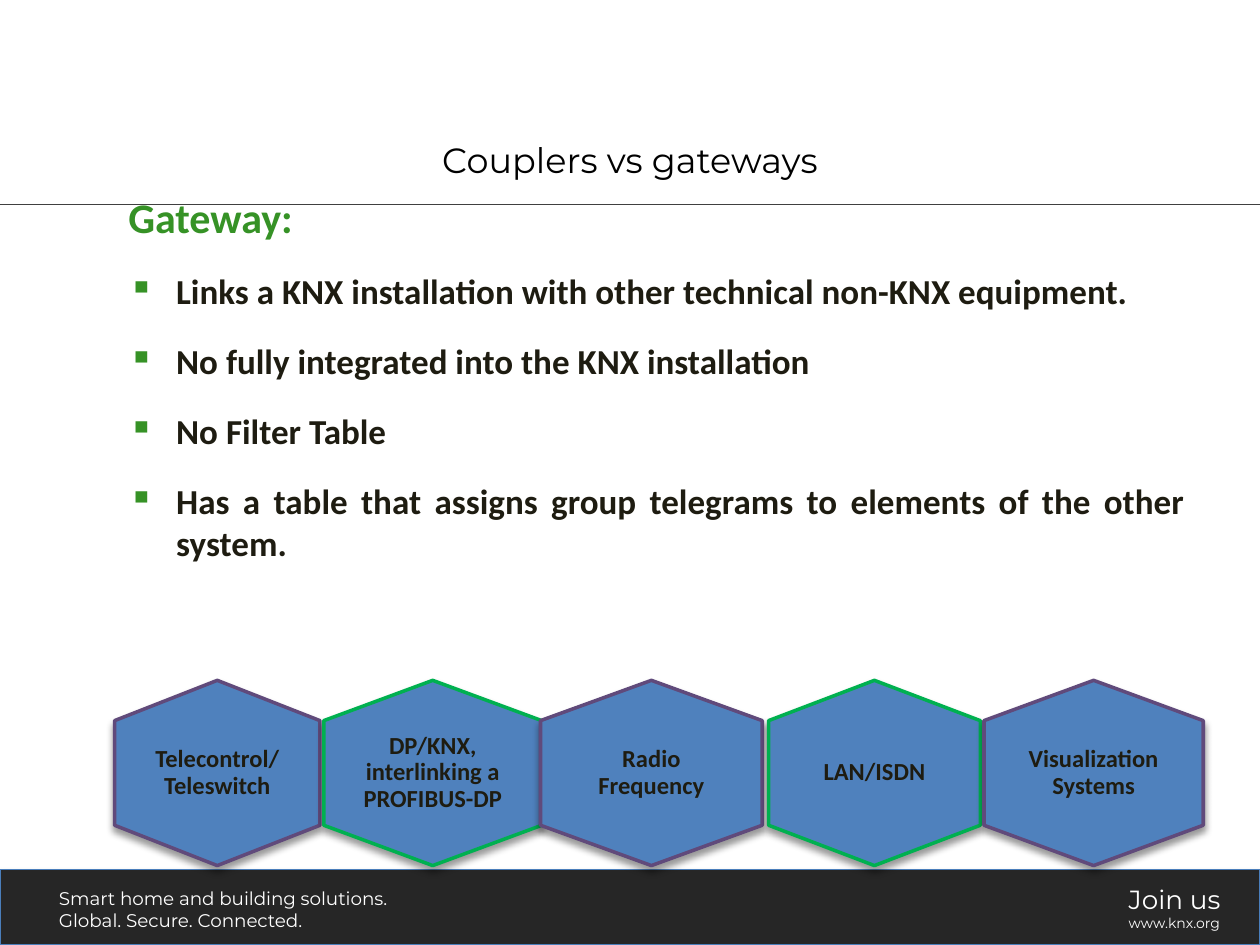
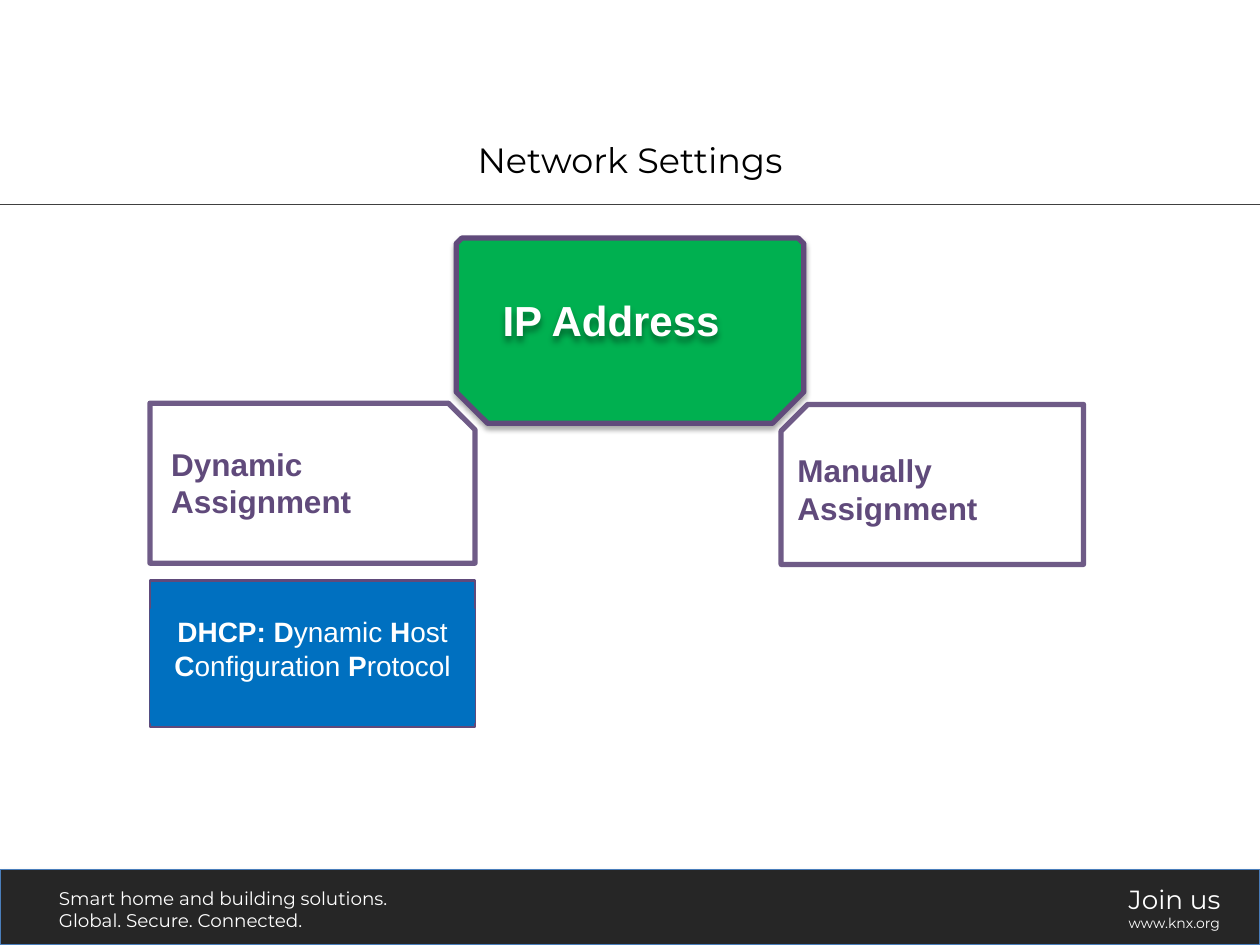
from lxml.etree import SubElement
from pptx import Presentation
from pptx.dml.color import RGBColor
from pptx.enum.shapes import MSO_CONNECTOR, MSO_SHAPE
from pptx.enum.text import MSO_ANCHOR, PP_ALIGN
from pptx.oxml.ns import qn
from pptx.util import Emu, Inches, Pt

WHITE, BLACK, INK = "FFFFFF", "000000", "1E1C11"
PURPLE, GREEN, LEAF = "604A7B", "00B050", "369226"
BAND, BAND_EDGE, RULE = "262626", "4A7EBB", "404040"
STEEL, BLUE = "4F81BD", "0070C0"

# Shadows: colour, opacity in %, blur and distance in points
SOFT_GREY = ("808080", 35, 3.1, 1.8)
SOFT_BLACK = (BLACK, 35, 3.1, 1.8)
DEEP_BLACK = (BLACK, 40, 4, 3)


def colour(hex_value):
    return RGBColor.from_string(hex_value)


def add_alpha(colour_element, percent):
    SubElement(colour_element, qn("a:alpha"), val=str(percent * 1000))


class Deck:
    """Holds the house style and the slide being built."""

    def __init__(self):
        self.prs = Presentation()
        self.prs.slide_width, self.prs.slide_height = Inches(10), Inches(7.5)
        self.slide = None

    def new_slide(self, heading):
        layout = self.prs.slide_layouts.get_by_name("Title Only")
        self.slide = self.prs.slides.add_slide(layout)
        self.band_and_rule()
        title = self.slide.shapes.title
        title.left, title.top = Inches(0.04), Inches(0.99)
        title.width, title.height = Inches(9.92), Inches(0.55)
        self.fill_text(title, [[heading]], 20, BLACK, "Montserrat",
                       align=PP_ALIGN.CENTER, anchor=MSO_ANCHOR.MIDDLE)

    def band_and_rule(self):
        self.box((0, 6.9, 10, 0.6), BAND, BAND_EDGE, 0.75, shadow=SOFT_GREY)
        rule = self.slide.shapes.add_connector(
            MSO_CONNECTOR.STRAIGHT, 0, Inches(1.62), Inches(10), Inches(1.62))
        rule.line.color.rgb, rule.line.width = colour(RULE), Pt(0.5)
        SubElement(rule._element.spPr, qn("a:effectLst"))
        self.text((0.37, 6.99, 2.93, 0.45),
                  [["Smart home and building solutions."],
                   ["Global. Secure. Connected."]], 10.5, WHITE, "Montserrat")
        invitation = self.text((8.86, 6.96, 1, 0.51),
                               [["Join us"], ["www.knx.org"]],
                               15, WHITE, "Montserrat")
        invitation.text_frame.paragraphs[1].runs[0].font.size = Pt(8)

    def style(self, shape, fill, line, width, shadow=None, line_alpha=None):
        shape.fill.solid()
        shape.fill.fore_color.rgb = colour(fill)
        if line:
            shape.line.color.rgb, shape.line.width = colour(line), Pt(width)
            if line_alpha:
                outline = shape._element.spPr.find(qn("a:ln"))
                add_alpha(next(outline.iter(qn("a:srgbClr"))), line_alpha)
        else:
            shape.line.fill.background()
        self.cast_shadow(shape, shadow)
        return shape

    def cast_shadow(self, shape, shadow):
        shape.shadow.inherit = False
        if shadow:
            tint, opacity, blur, distance = shadow
            effects = shape._element.spPr.find(qn("a:effectLst"))
            outer = SubElement(effects, qn("a:outerShdw"),
                               blurRad=str(Pt(blur)), dist=str(Pt(distance)),
                               dir="5400000", rotWithShape="0")
            add_alpha(SubElement(outer, qn("a:srgbClr"), val=tint), opacity)

    def box(self, at, fill, line=None, width=0, kind=MSO_SHAPE.RECTANGLE,
            mirrored=False, **look):
        shape = self.slide.shapes.add_shape(kind, *map(Inches, at))
        if mirrored:
            shape._element.spPr.find(qn("a:xfrm")).set("flipH", "1")
        return self.style(shape, fill, line, width, **look)

    def hexagon(self, left, top, width, height, label, edge):
        shoulder = 0.32
        x = [Inches(left + width * part) for part in (0, 0.5, 1)]
        y = [Inches(top + drop)
             for drop in (0, shoulder, height - shoulder, height)]
        builder = self.slide.shapes.build_freeform(x[1], y[0])
        builder.add_line_segments([(x[2], y[1]), (x[2], y[2]), (x[1], y[3]),
                                   (x[0], y[2]), (x[0], y[1])])
        shape = self.style(builder.convert_to_shape(), STEEL, edge, 2, DEEP_BLACK)
        self.fill_text(shape, [[label]], 14, INK, "Calibri", bold=True,
                       align=PP_ALIGN.CENTER, anchor=MSO_ANCHOR.MIDDLE)
        frame = shape.text_frame
        frame.margin_left = frame.margin_right = Inches(0.23)
        frame.margin_top = frame.margin_bottom = Inches(0.26)
        frame.paragraphs[0].line_spacing = 0.9

    def text(self, at, paragraphs, size, ink, font, bold=False):
        holder = self.slide.shapes.add_textbox(*map(Inches, at))
        self.fill_text(holder, paragraphs, size, ink, font, bold)
        return holder

    def fill_text(self, shape, paragraphs, size, ink, font, bold=False,
                  align=PP_ALIGN.LEFT, anchor=MSO_ANCHOR.TOP):
        """Each paragraph is a list of runs; a run is text or (text, bold)."""
        frame = shape.text_frame
        frame.word_wrap, frame.vertical_anchor = True, anchor
        for index, runs in enumerate(paragraphs):
            paragraph = frame.add_paragraph() if index else frame.paragraphs[0]
            paragraph.alignment = align
            for run in runs:
                words, heavy = run if isinstance(run, tuple) else (run, bold)
                self.add_run(paragraph, words, size, ink, font, heavy)

    def add_run(self, paragraph, words, size, ink, font, bold):
        run = paragraph.add_run()
        run.text = words
        run.font.size, run.font.name, run.font.bold = Pt(size), font, bold
        run.font.color.rgb = colour(ink)

    def bullet(self, frame, words, before):
        paragraph = frame.add_paragraph()
        properties = paragraph._p.get_or_add_pPr()
        indent = Inches(0.38)
        properties.set("marL", str(indent))
        properties.set("indent", str(Emu(-indent)))
        tint = SubElement(properties, qn("a:buClr"))
        SubElement(tint, qn("a:srgbClr"), val=LEAF)
        SubElement(properties, qn("a:buChar"), char="▪")
        paragraph.alignment = PP_ALIGN.JUSTIFY
        paragraph.space_before, paragraph.space_after = Pt(before), Pt(12)
        self.add_run(paragraph, words, 20, INK, "Calibri", True)


def gateways_slide(deck):
    deck.new_slide("Couplers vs gateways")

    # Row of gateway examples, with alternating edges
    examples = [(0.91, 1.63, "Telecontrol/Teleswitch"),
                (2.57, 1.73, "DP/KNX, interlinking a PROFIBUS-DP"),
                (4.29, 1.76, "Radio Frequency"),
                (6.1, 1.68, "LAN/ISDN"),
                (7.81, 1.74, "Visualization Systems")]
    for index, (left, width, label) in enumerate(examples):
        deck.hexagon(left, 5.4, width, 1.47, label, (PURPLE, GREEN)[index % 2])

    # Gateway properties
    gateway = deck.text((0.92, 1.47, 8.58, 5.35), [["Gateway:"]],
                        24, LEAF, "Calibri", bold=True)
    properties = [
        "Links a KNX installation with other technical non-KNX equipment.",
        "No fully integrated into the KNX installation",
        "No Filter Table",
        "Has a table that assigns group telegrams to elements of the other system."]
    for index, words in enumerate(properties):
        deck.bullet(gateway.text_frame, words, 4 if index else 16)


def network_slide(deck):
    deck.new_slide("Network Settings")

    def assignment(frame_at, label_at, label, mirrored=False):
        deck.box(frame_at, WHITE, PURPLE, 3, MSO_SHAPE.SNIP_1_RECTANGLE,
                 mirrored, line_alpha=90)
        caption = deck.box(label_at, WHITE)
        deck.fill_text(caption, [[label]], 18, PURPLE, "Arial", bold=True)

    # Dynamic branch
    assignment((1.19, 3.2, 2.58, 1.27), (1.26, 3.48, 2.44, 0.71),
               "Dynamic Assignment")
    deck.box((1.19, 4.61, 2.58, 1.16), BLUE, PURPLE, 1.5)
    dhcp = deck.box((1.19, 4.83, 2.58, 0.91), BLUE)
    deck.fill_text(dhcp, [[("DHCP: D", True), "ynamic ", ("H", True), "ost ",
                           ("C", True), "onfiguration ", ("P", True), "rotocol"]],
                   16, WHITE, "Arial", align=PP_ALIGN.CENTER)

    # Address being assigned
    address = deck.box((3.62, 1.89, 2.76, 1.47), GREEN, PURPLE, 3,
                       MSO_SHAPE.SNIP_2_SAME_RECTANGLE, shadow=SOFT_BLACK)
    address.rotation = 180
    address.adjustments[0], address.adjustments[1] = 0.17, 0.03
    address_label = deck.text((3.89, 2.29, 2.34, 0.51), [["IP Address"]],
                              24, WHITE, "Arial", bold=True)
    deck.cast_shadow(address_label, DEEP_BLACK)

    # Manual branch
    assignment((6.2, 3.21, 2.4, 1.27), (6.23, 3.53, 2.28, 0.71),
               "Manually Assignment", mirrored=True)


def main():
    deck = Deck()
    gateways_slide(deck)
    network_slide(deck)
    deck.prs.save("out.pptx")


if __name__ == "__main__":
    main()
